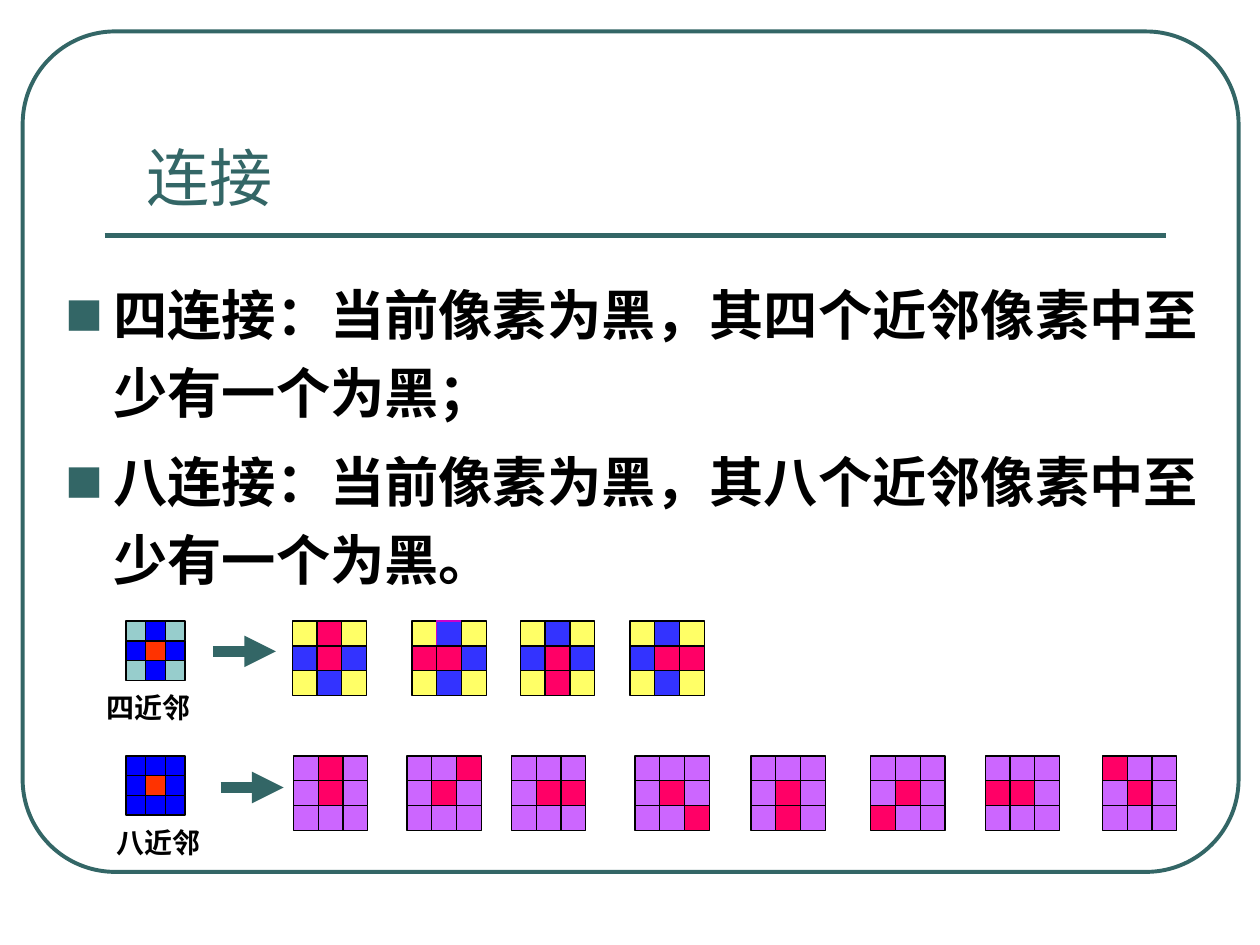
from lxml import etree
from pptx import Presentation
from pptx.dml.color import RGBColor
from pptx.enum.shapes import MSO_CONNECTOR, MSO_SHAPE
from pptx.enum.text import MSO_ANCHOR, MSO_AUTO_SIZE, PP_ALIGN
from pptx.oxml import parse_xml
from pptx.oxml.ns import nsdecls, qn
from pptx.util import Inches, Pt

RECTANGLE = MSO_SHAPE.RECTANGLE
ROUNDED = MSO_SHAPE.ROUNDED_RECTANGLE
STRAIGHT = MSO_CONNECTOR.STRAIGHT

COLORS = {
    "teal": "336666", "black": "000000", "outline": "CC00CC",
    # Cell colours, keyed by the letters of the pixel patterns
    "G": "97CDCC", "D": "0000FF", "O": "FF3300",
    "Y": "FFFF66", "B": "3333FF", "R": "FF0066", "P": "CC66FF",
}
RGB = {key: RGBColor.from_string(value) for key, value in COLORS.items()}
CJK_FONT = "Noto Sans CJK SC"

prs = Presentation()
prs.slide_width, prs.slide_height = Inches(10), Inches(7.5)
slide = prs.slides.add_slide(prs.slide_layouts[1])
shapes = slide.shapes


def add_pixels(left, top, size, pattern):
    """Draw a grouped 3 x 3 pixel grid, one pattern letter per cell."""
    group = shapes.add_group_shape()
    side = Inches(size / 3)
    for index, letter in enumerate(pattern):
        row, column = divmod(index, 3)
        pixel = group.shapes.add_shape(
            RECTANGLE, Inches(left) + column * side, Inches(top) + row * side, side, side)
        pixel.shadow.inherit = False
        pixel.fill.solid()
        pixel.fill.fore_color.rgb = RGB[letter]
        pixel.line.color.rgb = RGB["black"]
        pixel.line.width = Pt(0.75)
    return group


def add_line(left, right, y, width):
    line = shapes.add_connector(STRAIGHT, Inches(left), Inches(y), Inches(right), Inches(y))
    line.line.color.rgb = RGB["teal"]
    line.line.width = Pt(width)
    etree.SubElement(line._element.spPr, qn("a:effectLst"))
    return line


# Frame and rule under the title
frame = shapes.add_shape(ROUNDED, Inches(0.18), Inches(0.25), Inches(9.65), Inches(6.67))
frame.adjustments[0] = 0.11
frame.shadow.inherit = False
frame.fill.background()
frame.line.color.rgb = RGB["teal"]
frame.line.width = Pt(2.25)
add_line(0.83, 9.25, 1.87, 3)

# Title and definitions
title, definitions = shapes.title, slide.placeholders[1]
title.left, title.top = Inches(1.06), Inches(0.91)
title.width, title.height = Inches(1.82), Inches(0.84)
title.text_frame.text = "连接"
title.text_frame.vertical_anchor = MSO_ANCHOR.BOTTOM
title.text_frame.paragraphs[0].alignment = PP_ALIGN.LEFT

definitions.left, definitions.top = Inches(0.42), Inches(2.08)
definitions.width, definitions.height = Inches(9.33), Inches(2.92)
definitions.text_frame.text = (
    "四连接：当前像素为黑，其四个近邻像素中至少有一个为黑；\n"
    "八连接：当前像素为黑，其八个近邻像素中至少有一个为黑。"
)
for number, paragraph in enumerate(definitions.text_frame.paragraphs):
    paragraph.line_spacing = 1.2
    paragraph.space_before = Pt(6 * number)
    properties = paragraph._p.get_or_add_pPr()
    properties.set("marL", str(Inches(0.38)))
    properties.set("indent", str(-Inches(0.38)))
    for bullet in (
        f'<a:buClr {nsdecls("a")}><a:srgbClr val="{COLORS["teal"]}"/></a:buClr>',
        f'<a:buSzPct {nsdecls("a")} val="70000"/>',
        f'<a:buFont {nsdecls("a")} typeface="{CJK_FONT}"/>',
        f'<a:buChar {nsdecls("a")} char="■"/>',
    ):
        properties.append(parse_xml(bullet))

for holder, size, bold, color in (
    (title, 36, False, "teal"),
    (definitions, 31, True, "black"),
):
    holder.text_frame.auto_size = MSO_AUTO_SIZE.NONE
    for paragraph in holder.text_frame.paragraphs:
        for run in paragraph.runs:
            run.font.size, run.font.bold = Pt(size), bold
            run.font.color.rgb = RGB[color]
            run.font.name = CJK_FONT
            etree.SubElement(run._r.get_or_add_rPr(), qn("a:ea")).set("typeface", CJK_FONT)

# Neighbourhood keys: grid, label and arrow
for top, pattern, label, label_left, label_width, arrow_left, arrow_y in (
    (4.93, "GDGDODGDG", "四近邻", 0.75, 0.92, 1.69, 5.17),
    (6, "DDDDODDDD", "八近邻", 0.83, 1, 1.75, 6.25),
):
    add_pixels(1, top, 0.47, pattern)
    caption = shapes.add_textbox(
        Inches(label_left), Inches(top + 0.5), Inches(label_width), Inches(0.37))
    caption.text_frame.word_wrap = True
    caption.text_frame.text = label
    font = caption.text_frame.paragraphs[0].runs[0].font
    font.name, font.size, font.bold = "Times New Roman", Pt(16), True
    font.color.rgb = RGB["black"]
    arrow = add_line(arrow_left, arrow_left + 0.5, arrow_y, 6)
    etree.SubElement(arrow.line._get_or_add_ln(), qn("a:tailEnd")).set("type", "triangle")

# Connection cases: (left edge, index of the connected neighbour)
four_cases = ((2.32, 1), (3.27, 3), (4.13, 7), (5, 5))
eight_cases = ((2.33, 1), (3.23, 2), (4.06, 5), (5.04, 8),
               (5.96, 7), (6.91, 6), (7.82, 3), (8.75, 0))
for top, base, cases in (
    (4.93, "YBYBRBYBY", four_cases),
    (6, "PPPPRPPPP", eight_cases),
):
    for left, neighbour in cases:
        grid = add_pixels(left, top, 0.59, base[:neighbour] + "R" + base[neighbour + 1:])
        if (base[0], neighbour) == ("Y", 3):
            grid.shapes[1].line.color.rgb = RGB["outline"]

prs.save("out.pptx")
